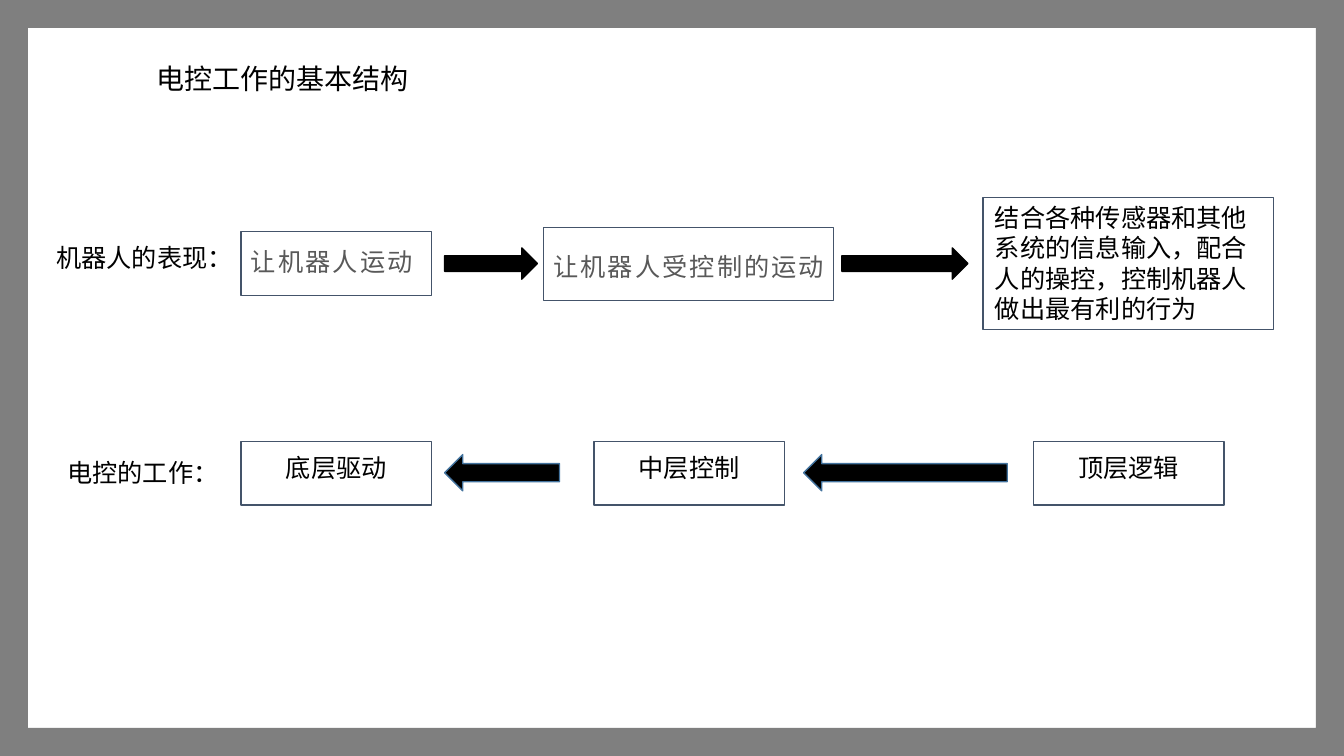
"""Build the slide on the basic structure of electronic control work."""
from dataclasses import dataclass

from lxml.etree import SubElement
from pptx import Presentation
from pptx.dml.color import RGBColor
from pptx.enum.shapes import MSO_SHAPE
from pptx.enum.text import PP_ALIGN
from pptx.oxml.ns import qn
from pptx.util import Inches, Pt

ARIAL = "Arial"
NOTO = "Noto Sans CJK SC"


@dataclass
class Block:
    kind: MSO_SHAPE
    left: float
    top: float
    width: float
    height: float
    fill: str = "FFFFFF"
    line: str | None = "44546A"


@dataclass
class Label:
    left: float
    top: float
    width: float
    height: float
    runs: list[tuple[str, str]]
    size: int = 18
    color: str = "000000"
    align: PP_ALIGN = PP_ALIGN.LEFT
    line_spacing: float = 1.0
    space_after: int = 0
    tracking: int = 0
    wrap: bool = True
    inset: bool = True


def rgb(value: str) -> RGBColor:
    return RGBColor.from_string(value)


def draw_block(s, block: Block):
    sp = s.shapes.add_shape(block.kind, Inches(block.left), Inches(block.top),
                            Inches(block.width), Inches(block.height))
    sp.shadow.inherit = False
    sp.fill.solid()
    sp.fill.fore_color.rgb = rgb(block.fill)
    if block.line:
        sp.line.color.rgb = rgb(block.line)
        sp.line.width = Pt(1)
    else:
        sp.line.fill.background()
    return sp


def draw_label(s, label: Label) -> None:
    sp = s.shapes.add_textbox(Inches(label.left), Inches(label.top),
                              Inches(label.width), Inches(label.height))
    tf = sp.text_frame
    tf.word_wrap = label.wrap
    if not label.inset:
        tf.margin_left = tf.margin_top = tf.margin_right = tf.margin_bottom = 0
    p = tf.paragraphs[0]
    p.alignment = label.align
    p.line_spacing = label.line_spacing
    p.space_after = Pt(label.space_after)
    for text, font in label.runs:
        r = p.add_run()
        r.text = text
        r.font.size = Pt(label.size)
        r.font.color.rgb = rgb(label.color)
        r.font.name = font
        props = r._r.get_or_add_rPr()
        SubElement(props, qn("a:ea")).set("typeface", font)
        if label.tracking:
            props.set("spc", str(label.tracking))


def draw_layer(s, left: float, name: str) -> None:
    draw_block(s, Block(MSO_SHAPE.RECTANGLE, left, 4.38, 1.89, 0.63))
    draw_label(s, Label(left + 0.29, 4.47, 1.31, 0.63, [(name, NOTO)],
                        align=PP_ALIGN.CENTER, line_spacing=0.9))


def draw_stage(s, block: Block, label: Label) -> None:
    draw_block(s, block)
    draw_label(s, label)


BEHAVIOURS = [
    (Block(MSO_SHAPE.RECTANGLE, 2.39, 2.3, 1.89, 0.63),
     Label(2.39, 2.3, 1.89, 0.63, [("让机器人运动", NOTO)], color="595959",
           line_spacing=1.3, space_after=10, tracking=150)),
    (Block(MSO_SHAPE.RECTANGLE, 5.39, 2.26, 2.88, 0.72),
     Label(5.39, 2.35, 3.19, 0.72, [("让机器人受控制的运动", ARIAL)], color="595959",
           line_spacing=1.3, space_after=10, tracking=150)),
    (Block(MSO_SHAPE.RECTANGLE, 9.75, 1.96, 2.88, 1.31),
     Label(9.77, 1.96, 2.85, 1.31,
           [("结合各种传感器和其他系统的信息输入，配合人的操控", ARIAL),
            ("，控制", NOTO), ("机器人做出最有利的行为", ARIAL)])),
]
LAYERS = [(10.25, "顶层逻辑"), (5.89, "中层控制"), (2.39, "底层驱动")]
ARROWS = [
    Block(MSO_SHAPE.RIGHT_ARROW, 4.41, 2.46, 0.92, 0.31, "000000", "000000"),
    Block(MSO_SHAPE.RIGHT_ARROW, 8.35, 2.46, 1.25, 0.31, "000000", "000000"),
    Block(MSO_SHAPE.LEFT_ARROW, 4.41, 4.51, 1.14, 0.36, "000000", "43739E"),
    Block(MSO_SHAPE.LEFT_ARROW, 7.97, 4.51, 2.02, 0.36, "000000", "43739E"),
]
HEADINGS = [
    Label(1.55, 0.61, 2.58, 0.74, [("电控工作的基本结构", ARIAL)], size=20, inset=False),
    Label(0.46, 2.35, 1.77, 0.4, [("机器人的表现：", ARIAL)]),
    Label(0.57, 4.49, 1.7, 0.71, [("电控的工作：", ARIAL)], wrap=False),
]


def main() -> None:
    prs = Presentation()
    prs.slide_width, prs.slide_height = Inches(13.33), Inches(7.5)
    s = prs.slides.add_slide(prs.slide_layouts[6])
    border = draw_block(s, Block(MSO_SHAPE.FRAME, 0, 0, 13.33, 7.5, "7F7F7F", None))
    border.adjustments[0] = 0.037
    for block, label in BEHAVIOURS:
        draw_stage(s, block, label)
    for left, name in LAYERS:
        draw_layer(s, left, name)
    for arrow in ARROWS:
        draw_block(s, arrow)
    for heading in HEADINGS:
        draw_label(s, heading)
    prs.save("out.pptx")


if __name__ == "__main__":
    main()
